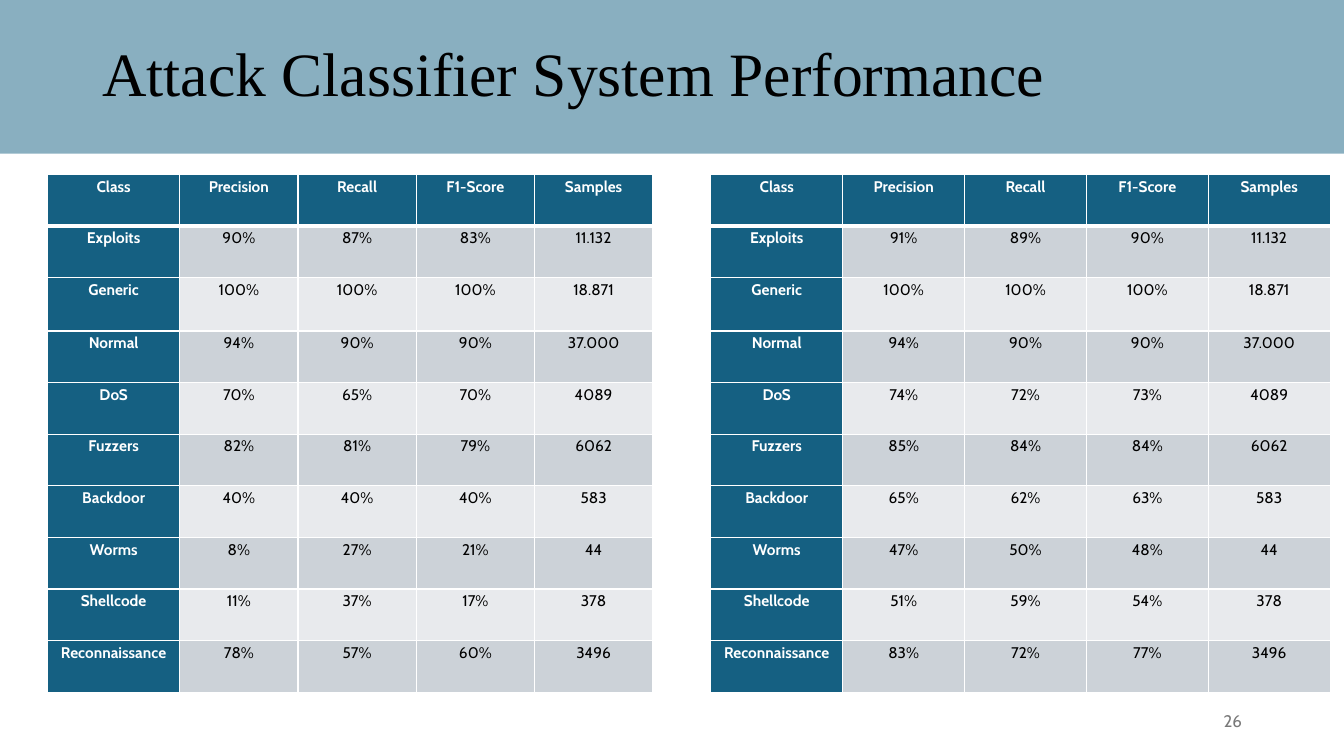
"""Build the attack classifier performance slide with two metric tables."""
from dataclasses import dataclass

from lxml import etree
from pptx import Presentation
from pptx import util as u
from pptx.dml.color import RGBColor
from pptx.enum import shapes, text
from pptx.oxml.ns import qn

COLORS = {
    "teal": "156082",
    "odd": "CCD2D8",
    "even": "E8EAED",
    "white": "FFFFFF",
    "black": "000000",
    "gray": "797979",
}
HEADER = ["Class", "Precision", "Recall", "F1-Score", "Samples"]
SAMPLES = {
    "Exploits": "11.132",
    "Generic": "18.871",
    "Normal": "37.000",
    "DoS": "4089",
    "Fuzzers": "6062",
    "Backdoor": "583",
    "Worms": "44",
    "Shellcode": "378",
    "Reconnaissance": "3496",
}
SLIDE_W, SLIDE_H = 33.87, 19.05
BAND_H = 3.87
TABLE_TOP = 4.4
CLASS_W = 3.33
ROW_H, GENERIC_H = 1.3, 1.34


@dataclass
class MetricTable:
    left: float
    metric_width: float
    scores: list[tuple[int, int, int]]


@dataclass
class Label:
    left: float
    top: float
    width: float
    height: float
    words: str
    font: str
    size: int
    color: str
    align: text.PP_ALIGN
    spacing: float


TABLES = [
    MetricTable(1.2, 2.98, [
        (90, 87, 83), (100, 100, 100), (94, 90, 90), (70, 65, 70), (82, 81, 79),
        (40, 40, 40), (8, 27, 21), (11, 37, 17), (78, 57, 60),
    ]),
    MetricTable(17.91, 3.07, [
        (91, 89, 90), (100, 100, 100), (94, 90, 90), (74, 72, 73), (85, 84, 84),
        (65, 62, 63), (47, 50, 48), (51, 59, 54), (83, 72, 77),
    ]),
]
LABELS = [
    Label(2.33, 0, 31.54, BAND_H, "Attack Classifier System Performance",
          "Times New Roman", 44, "black", text.PP_ALIGN.LEFT, 0.9),
    Label(23.93, 17.65, 7.62, 1.01, "26", "Cabin", 12, "gray", text.PP_ALIGN.RIGHT, 1.0),
]


def rgb(name: str) -> RGBColor:
    return RGBColor.from_string(COLORS[name])


def set_font(p, name: str, size: int, color: str, bold: bool = False) -> None:
    p.font.name, p.font.size, p.font.bold = name, u.Pt(size), bold
    p.font.color.rgb = rgb(color)


def add_band(s) -> None:
    sp = s.shapes.add_shape(shapes.MSO_SHAPE.RECTANGLE, 0, 0, u.Cm(SLIDE_W), u.Cm(BAND_H))
    sp.shadow.inherit = False
    sp.fill.solid()
    sp.fill.fore_color.rgb = rgb("teal")
    sp.line.fill.background()
    fill_color = sp.fill._xPr.find(qn("a:solidFill"))[0]
    etree.SubElement(fill_color, qn("a:alpha"), val="50000")


def add_label(s, label: Label) -> None:
    sp = s.shapes.add_textbox(*map(u.Cm, (label.left, label.top, label.width, label.height)))
    tf = sp.text_frame
    tf.word_wrap = True
    tf.vertical_anchor = text.MSO_ANCHOR.MIDDLE
    p = tf.paragraphs[0]
    p.text, p.alignment, p.line_spacing = label.words, label.align, label.spacing
    set_font(p, label.font, label.size, label.color)


def set_borders(cell, row: int) -> None:
    tc_pr = cell._tc.get_or_add_tcPr()
    widths = {"L": 1, "R": 1, "T": 3 if row == 1 else 1, "B": 3 if row == 0 else 1}
    for side, width in widths.items():
        ln = etree.SubElement(tc_pr, qn(f"a:ln{side}"), w=str(u.Pt(width)))
        fill = etree.SubElement(ln, qn("a:solidFill"))
        etree.SubElement(fill, qn("a:srgbClr"), val=COLORS["white"])


def fill_cell(cell, words: str, row: int, col: int) -> None:
    heading = row == 0 or col == 0
    set_borders(cell, row)
    cell.fill.solid()
    cell.fill.fore_color.rgb = rgb("teal" if heading else "odd" if row % 2 else "even")
    cell.margin_left = cell.margin_right = u.Cm(0.18)
    cell.margin_top = cell.margin_bottom = 0
    p = cell.text_frame.paragraphs[0]
    p.text, p.alignment, p.line_spacing = words, text.PP_ALIGN.CENTER, 1.15
    p.space_after = u.Pt(8)
    set_font(p, "Cabin", 11, "white" if heading else "black", heading)


def add_metric_table(s, spec: MetricTable) -> None:
    rows = [HEADER] + [
        [name, *(f"{score}%" for score in scores), samples]
        for (name, samples), scores in zip(SAMPLES.items(), spec.scores)
    ]
    widths = [CLASS_W] + [spec.metric_width] * (len(HEADER) - 1)
    heights = [GENERIC_H if row[0] == "Generic" else ROW_H for row in rows]
    table = s.shapes.add_table(
        len(rows), len(HEADER), u.Cm(spec.left), u.Cm(TABLE_TOP),
        u.Cm(sum(widths)), u.Cm(sum(heights)),
    ).table
    table.horz_banding = False
    for column, width in zip(table.columns, widths):
        column.width = u.Cm(width)
    for i, (row, height) in enumerate(zip(rows, heights)):
        table.rows[i].height = u.Cm(height)
        for j, words in enumerate(row):
            fill_cell(table.cell(i, j), words, i, j)


def main() -> None:
    prs = Presentation()
    prs.slide_width, prs.slide_height = u.Cm(SLIDE_W), u.Cm(SLIDE_H)
    s = prs.slides.add_slide(prs.slide_layouts[6])
    add_band(s)
    for spec in TABLES:
        add_metric_table(s, spec)
    for label in LABELS:
        add_label(s, label)
    prs.save("out.pptx")


if __name__ == "__main__":
    main()
